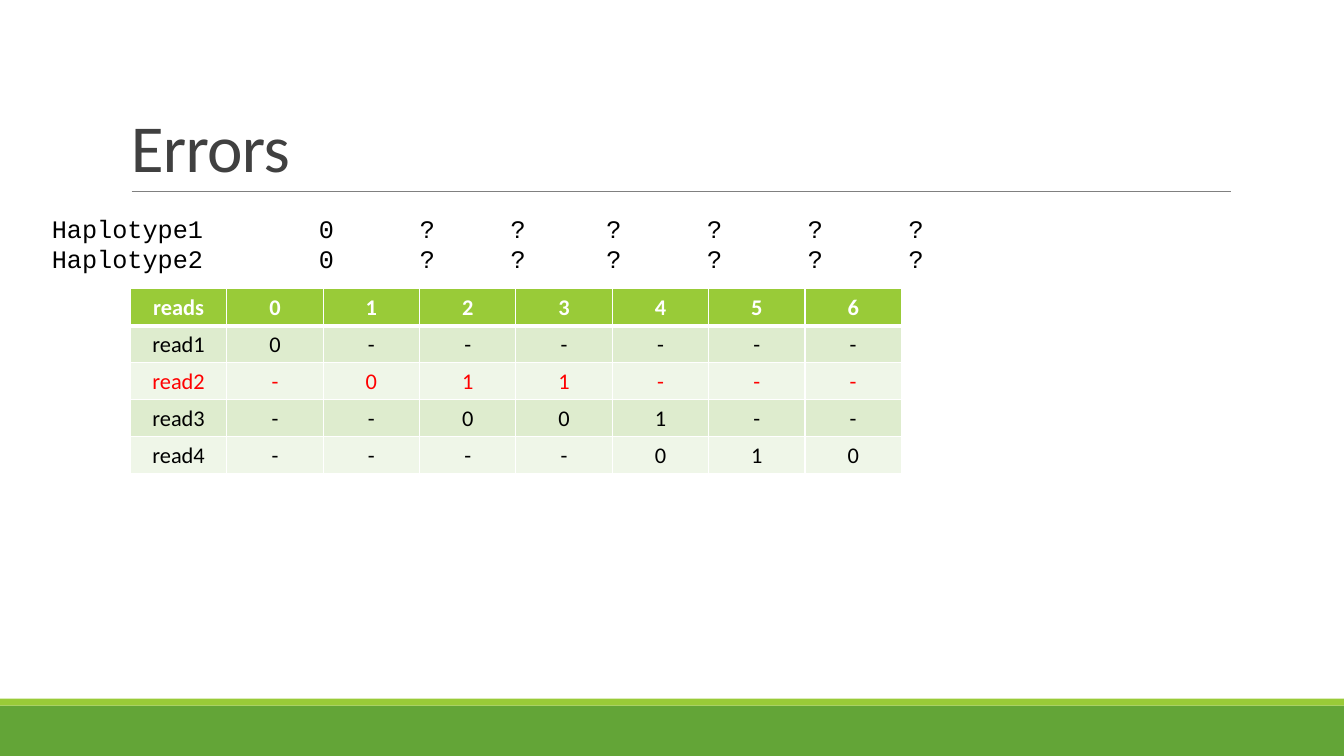
from pptx import Presentation
from pptx.dml.color import RGBColor as Rgb
from pptx.enum.shapes import MSO_CONNECTOR as Conn, MSO_SHAPE as Shape
from pptx.enum.text import MSO_ANCHOR as Anchor, PP_ALIGN as Align
from pptx.oxml.ns import qn
from pptx.util import Pt
from lxml.etree import SubElement as Sub

TITLE = "Errors"
HAPS = [
    ("Haplotype1", "0", "?", "?", "?", "?", "?", "?"),
    ("Haplotype2", "0", "?", "?", "?", "?", "?", "?"),
]
READS = [
    ("reads", "0", "1", "2", "3", "4", "5", "6"),
    ("read1", "0", "-", "-", "-", "-", "-", "-"),
    ("read2", "-", "0", "1", "1", "-", "-", "-"),
    ("read3", "-", "-", "0", "0", "1", "-", "-"),
    ("read4", "-", "-", "-", "-", "0", "1", "0"),
]
WRONG = "read2"
TABS = [190.8, 262.8, 327.6, 396, 468, 540, 612]
THEME = dict(
    sans="Calibri", mono="Courier New",
    big=48, mid=18, small=16,
    title="404040", ink="000000", white="FFFFFF", error="FF0000",
    rule="808080", green="63A537", lime="99CB38",
    bands=("EFF6E8", "DEECCE"),
)
WIDE, HIGH = 960, 540
COL, ROW = 68.85, 25.5


def write(frame, lines, size, color, font=THEME["sans"], bold=False,
          align=Align.LEFT, lead=None, space=None, tabs=()):
    frame.text = "\n".join(lines)
    for para in frame.paragraphs:
        para.alignment = align
        if lead:
            para.line_spacing = lead
        if tabs:
            stops = Sub(para._p.get_or_add_pPr(), qn("a:tabLst"))
            for stop in tabs:
                Sub(stops, qn("a:tab"), pos=str(Pt(stop)), algn="l")
        for run in para.runs:
            run.font.name, run.font.size = font, Pt(size)
            run.font.bold = bold
            run.font.color.rgb = Rgb.from_string(color)
            if space:
                run._r.get_or_add_rPr().set("spc", str(space))


def box(slide, x, y, w, h, anchor=Anchor.TOP):
    frame = slide.shapes.add_textbox(Pt(x), Pt(y), Pt(w), Pt(h)).text_frame
    frame.word_wrap = True
    frame.vertical_anchor = anchor
    return frame


def band(slide, y, h, color):
    bar = slide.shapes.add_shape(Shape.RECTANGLE, 0, Pt(y), Pt(WIDE), Pt(h))
    bar.shadow.inherit = False
    bar.fill.solid()
    bar.fill.fore_color.rgb = Rgb.from_string(color)
    bar.line.fill.background()


def rule(slide, x, y, end):
    line = slide.shapes.add_connector(Conn.STRAIGHT, Pt(x), Pt(y), Pt(end), Pt(y))
    line.line.width = Pt(0.5)
    line.line.color.rgb = Rgb.from_string(THEME["rule"])
    Sub(line._element.spPr, qn("a:effectLst"))


def edge(cell, top, base):
    props = cell._tc.get_or_add_tcPr()
    widths = dict(lnL=1, lnR=1, lnT=top, lnB=base)
    for spot, (side, width) in enumerate(widths.items()):
        line = Sub(props, qn("a:" + side), w=str(Pt(width)))
        fill = Sub(line, qn("a:solidFill"))
        Sub(fill, qn("a:srgbClr"), val=THEME["white"])
        props.insert(spot, line)


def grid(slide, x, y):
    rows, cols = len(READS), len(READS[0])
    table = slide.shapes.add_table(
        rows, cols, Pt(x), Pt(y), Pt(cols * COL), Pt(rows * ROW)).table
    for col in table.columns:
        col.width = Pt(COL)
    for r, texts in enumerate(READS):
        table.rows[r].height = Pt(ROW)
        head = r == 0
        ink = THEME["error" if texts[0] == WRONG else "white" if head else "ink"]
        back = THEME["lime"] if head else THEME["bands"][r % 2]
        for c, text in enumerate(texts):
            cell = table.cell(r, c)
            cell.fill.solid()
            cell.fill.fore_color.rgb = Rgb.from_string(back)
            edge(cell, 3 if r == 1 else 1, 3 if head else 1)
            write(cell.text_frame, [text], THEME["small"], ink,
                  bold=head, align=Align.CENTER)


def main():
    deck = Presentation()
    deck.slide_width, deck.slide_height = Pt(WIDE), Pt(HIGH)
    slide = deck.slides.add_slide(deck.slide_layouts[6])
    band(slide, 504, 36, THEME["green"])
    band(slide, 499, 5, THEME["lime"])
    rule(slide, 94, 136.8, 879)
    write(box(slide, 86.4, 22.5, 792, 114.2, Anchor.BOTTOM), [TITLE],
          THEME["big"], THEME["title"], lead=0.85, space=-50)
    write(box(slide, 30, 149, 800, 51), ["\t".join(hap) for hap in HAPS],
          THEME["mid"], THEME["ink"], font=THEME["mono"], tabs=TABS)
    grid(slide, 93.2, 206.2)
    deck.save("out.pptx")


if __name__ == "__main__":
    main()
